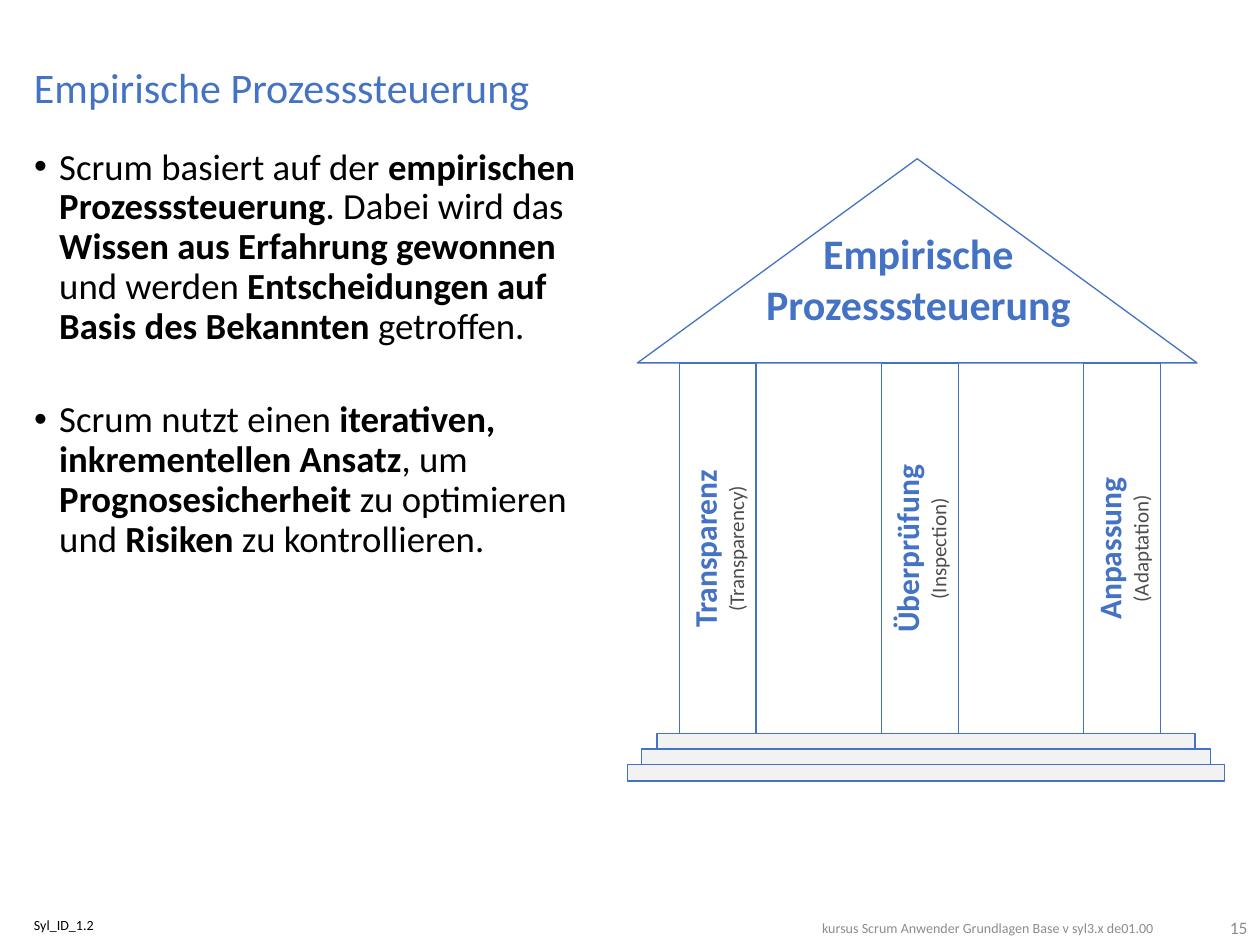
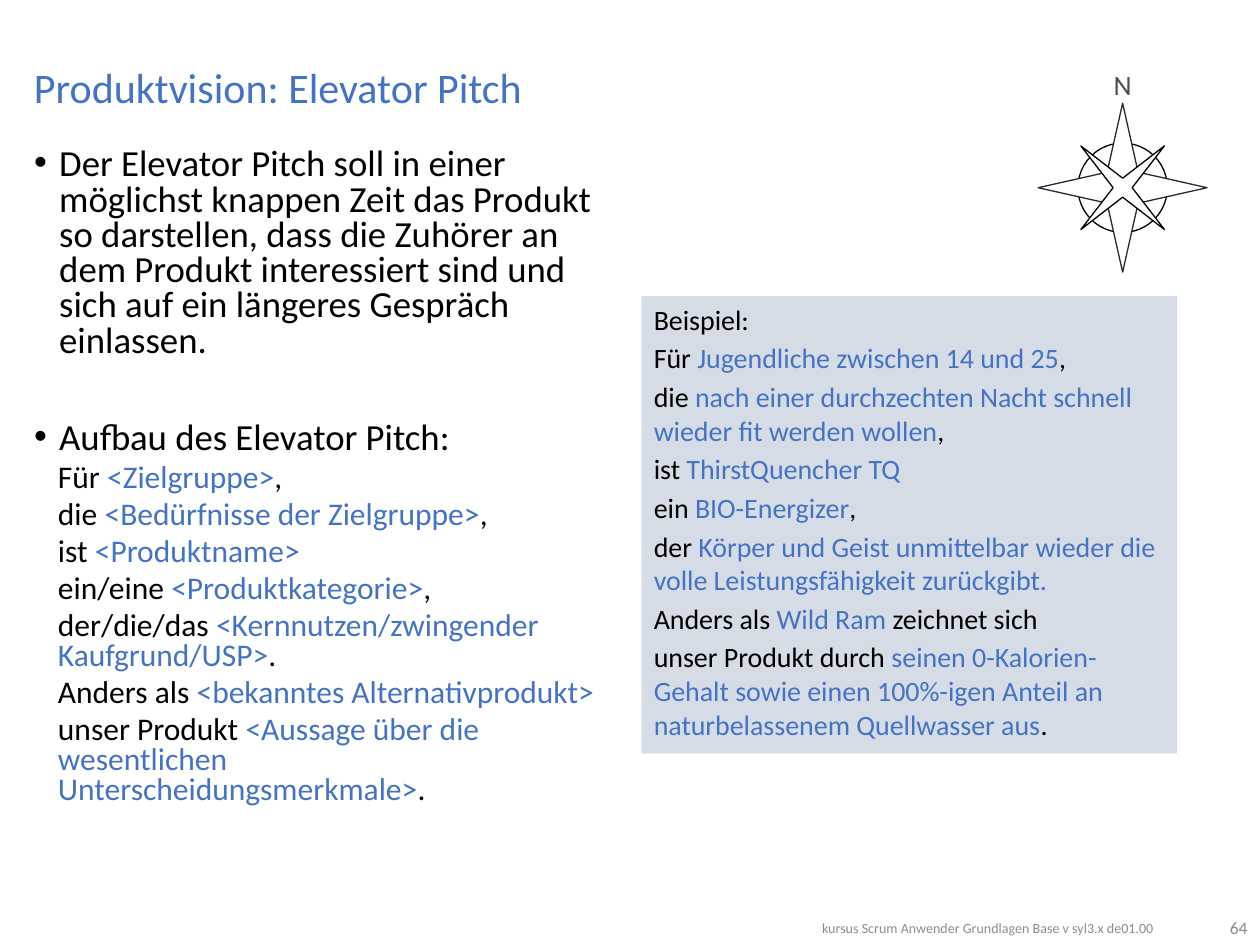
from dataclasses import dataclass

from lxml.etree import SubElement
from pptx import Presentation
from pptx.dml.color import RGBColor
from pptx.enum.shapes import MSO_SHAPE
from pptx.enum.text import MSO_ANCHOR, PP_ALIGN
from pptx.oxml.ns import qn
from pptx.util import Inches, Pt


@dataclass(frozen=True)
class Theme:
    font: str = "Calibri"
    blue: str = "4472C4"
    black: str = "000000"
    dark: str = "4D4D4D"
    grey: str = "8C8C8C"
    white: str = "FFFFFF"
    stone: str = "F2F2F2"
    panel: str = "D6DCE5"
    navy: str = "222A35"
    title: int = 24
    body: int = 21
    sub: int = 18
    example: int = 16
    caption: int = 12
    number: int = 10
    small: int = 8
    line: float = 0.75


THEME = Theme()
DEFAULT_INSETS = (0.1, 0.05, 0.1, 0.05)
BODY_INSETS = (0, 0.05, 0.1, 0.05)
NO_INSETS = (0, 0, 0, 0)

# Text between asterisks is emphasised: bold in the principles, blue in the pitch.
FOOTER = "kursus Scrum Anwender Grundlagen Base v syl3.x de01.00"

PRINCIPLES_TITLE = "Empirische Prozesssteuerung"
PRINCIPLES = [
    "Scrum basiert auf der *empirischen Prozesssteuerung*. Dabei wird das "
    "*Wissen aus Erfahrung gewonnen* und werden "
    "*Entscheidungen auf Basis des Bekannten* getroffen.",
    "Scrum nutzt einen *iterativen, inkrementellen Ansatz*, um "
    "*Prognosesicherheit* zu optimieren und *Risiken* zu kontrollieren.",
]
SYLLABUS_ID = "Syl_ID_1.2"
ROOF_LINES = ["Empirische", "Prozesssteuerung"]
PILLARS = [
    ("Transparenz", "(Transparency)"),
    ("Überprüfung", "(Inspection)"),
    ("Anpassung", "(Adaptation)"),
]
STEP_WIDTHS = [4.27, 4.52, 4.74]

PITCH_TITLE = "Produktvision: Elevator Pitch"
PITCH_INTRO = [
    "Der Elevator Pitch soll in einer möglichst knappen Zeit das Produkt so "
    "darstellen, dass die Zuhörer an dem Produkt interessiert sind und sich "
    "auf ein längeres Gespräch einlassen.",
    "Aufbau des Elevator Pitch:",
]
PITCH_PATTERN = [
    "Für *<Zielgruppe>*,",
    "die *<Bedürfnisse der Zielgruppe>*,",
    "ist *<Produktname>*",
    "ein/eine *<Produktkategorie>*,",
    "der/die/das *<Kernnutzen/zwingender Kaufgrund/USP>*.",
    "Anders als *<bekanntes Alternativprodukt>*",
    "unser Produkt *<Aussage über die wesentlichen Unterscheidungsmerkmale>*.",
]
PITCH_EXAMPLE = [
    "Beispiel:",
    "Für *Jugendliche zwischen 14 und 25*,",
    "die *nach einer durchzechten Nacht schnell wieder fit werden wollen*,",
    "ist *ThirstQuencher TQ*",
    "ein *BIO-Energizer*,",
    "der *Körper und Geist unmittelbar wieder die volle "
    "Leistungsfähigkeit zurückgibt.*",
    "Anders als *Wild Ram* zeichnet sich",
    "unser Produkt durch *seinen 0-Kalorien-Gehalt sowie einen 100%-igen "
    "Anteil an naturbelassenem Quellwasser aus*.",
]


def rgb(value):
    return RGBColor.from_string(value)


def set_frame(shape, insets=DEFAULT_INSETS, anchor=MSO_ANCHOR.TOP):
    frame = shape.text_frame
    frame.word_wrap = True
    frame.vertical_anchor = anchor
    (frame.margin_left, frame.margin_top,
     frame.margin_right, frame.margin_bottom) = map(Inches, insets)
    return shape


def add_box(page, place, insets=DEFAULT_INSETS, anchor=MSO_ANCHOR.TOP):
    return set_frame(page.shapes.add_textbox(*map(Inches, place)), insets, anchor)


def add_figure(page, kind, place, fill=None, line=None):
    shape = page.shapes.add_shape(kind, *map(Inches, place))
    shape.shadow.inherit = False
    if fill:
        shape.fill.solid()
        shape.fill.fore_color.rgb = rgb(fill)
    else:
        shape.fill.background()
    if line:
        shape.line.color.rgb = rgb(line)
        shape.line.width = Pt(THEME.line)
    else:
        shape.line.fill.background()
    return shape


def write(shape, text, size, color=THEME.black, bold=False, align=PP_ALIGN.LEFT,
          spacing=1.0, before=0, indent=0, bullet=False, accent=None):
    """Add one paragraph; emphasised spans take the accent colour, or else bold."""
    frame = shape.text_frame
    is_first = not frame.paragraphs[0].runs
    para = frame.paragraphs[0] if is_first else frame.add_paragraph()
    para.alignment = align
    para.line_spacing = spacing
    para.space_before = Pt(0 if is_first else before)
    properties = para._p.get_or_add_pPr()
    if indent:
        properties.set("marL", str(Inches(indent)))
        properties.set("indent", str(Inches(-indent if bullet else 0)))
    if bullet:
        SubElement(properties, qn("a:buFont"), typeface="Arial")
        SubElement(properties, qn("a:buChar"), char="•")
    para.font.name = THEME.font
    para.font.size = Pt(size)
    para.font.bold = bold
    para.font.color.rgb = rgb(color)
    for index, part in enumerate(text.split("*")):
        if not part:
            continue
        span = para.add_run()
        span.text = part
        if shape.shape_type != 17:  # preset shapes carry a white style font
            span.font.color.rgb = rgb(color)
        if index % 2:
            if accent:
                span.font.color.rgb = rgb(accent)
            else:
                span.font.bold = True


def add_page(deck, title, number):
    page = deck.slides.add_slide(deck.slide_layouts[6])
    heading = add_box(page, (0.27, 0.45, 9.46, 0.53), BODY_INSETS, MSO_ANCHOR.MIDDLE)
    write(heading, title, THEME.title, THEME.blue, spacing=0.9)
    for place, text, size in [
        ((5.83, 7.3, 3.33, 0.16), FOOTER, THEME.small),
        ((9.25, 7.28, 0.65, 0.2), str(number), THEME.number),
    ]:
        write(add_box(page, place, NO_INSETS), text, size, THEME.grey,
              align=PP_ALIGN.RIGHT)
    return page


def add_bullets(page, items, spacing, gap):
    body = add_box(page, (0.27, 1.13, 4.55, 6), BODY_INSETS)
    for item in items:
        write(body, item, THEME.body, spacing=spacing, before=gap,
              indent=0.2, bullet=True)
    return body


def add_temple(page):
    middle = 7.35
    length, thickness, pitch = 2.95, 0.61, 1.605
    for index, (name, english) in enumerate(PILLARS):
        left = 4.22 + index * pitch
        pillar = add_figure(page, MSO_SHAPE.RECTANGLE, (left, 4.05, length, thickness),
                            THEME.white, THEME.blue)
        pillar.rotation = 270
        set_frame(pillar)
        write(pillar, name, THEME.sub, THEME.blue, True, PP_ALIGN.CENTER)
        write(pillar, english, THEME.caption, THEME.dark, align=PP_ALIGN.CENTER)
    for index, width in enumerate(STEP_WIDTHS):
        add_figure(page, MSO_SHAPE.RECTANGLE,
                   (middle - width / 2, 5.82 + index * 0.125, width, 0.13),
                   THEME.stone, THEME.blue)
    add_figure(page, MSO_SHAPE.ISOSCELES_TRIANGLE, (5.06, 1.26, 4.44, 1.62),
               line=THEME.blue)
    roof_label = add_box(page, (5.31, 1.76, 3.96, 0.91))
    for line in ROOF_LINES:
        write(roof_label, line, THEME.title, THEME.blue, True, PP_ALIGN.CENTER)


def add_compass(page):
    center_x, center_y = 8.91, 1.49
    for kind, size, line, turn, waist in [
        (MSO_SHAPE.OVAL, 0.71, THEME.black, 0, None),
        (MSO_SHAPE.STAR_4_POINT, 1.34, THEME.navy, 0, 0.13),
        (MSO_SHAPE.STAR_4_POINT, 0.94, THEME.black, 45, 0.08),
    ]:
        part = add_figure(page, kind,
                          (center_x - size / 2, center_y - size / 2, size, size),
                          THEME.white, line)
        part.rotation = turn
        if waist:
            part.adjustments[0] = waist
    north = add_box(page, (center_x - 0.31, 0.49, 0.62, 0.37))
    write(north, "N", THEME.example, THEME.dark, align=PP_ALIGN.CENTER)


def build_principles(deck):
    page = add_page(deck, PRINCIPLES_TITLE, 15)
    add_bullets(page, PRINCIPLES, spacing=0.9, gap=31)
    syllabus = add_box(page, (0.27, 7.3, 3.96, 0.16), (0, 0, 0.1, 0.05))
    write(syllabus, SYLLABUS_ID, THEME.small, spacing=0.8)
    add_temple(page)


def build_pitch(deck):
    page = add_page(deck, PITCH_TITLE, 64)
    body = add_bullets(page, PITCH_INTRO, spacing=0.8, gap=35.5)
    for line in PITCH_PATTERN:
        write(body, line, THEME.sub, spacing=0.8, before=3.8, indent=0.19,
              accent=THEME.blue)
    add_compass(page)
    example = set_frame(add_figure(page, MSO_SHAPE.RECTANGLE,
                                   (5.09, 2.35, 4.25, 3.63), THEME.panel))
    for line in PITCH_EXAMPLE:
        write(example, line, THEME.example, before=2.9, accent=THEME.blue)


def main():
    deck = Presentation()
    deck.slide_width, deck.slide_height = Inches(10), Inches(7.5)
    build_principles(deck)
    build_pitch(deck)
    deck.save("out.pptx")


if __name__ == "__main__":
    main()
